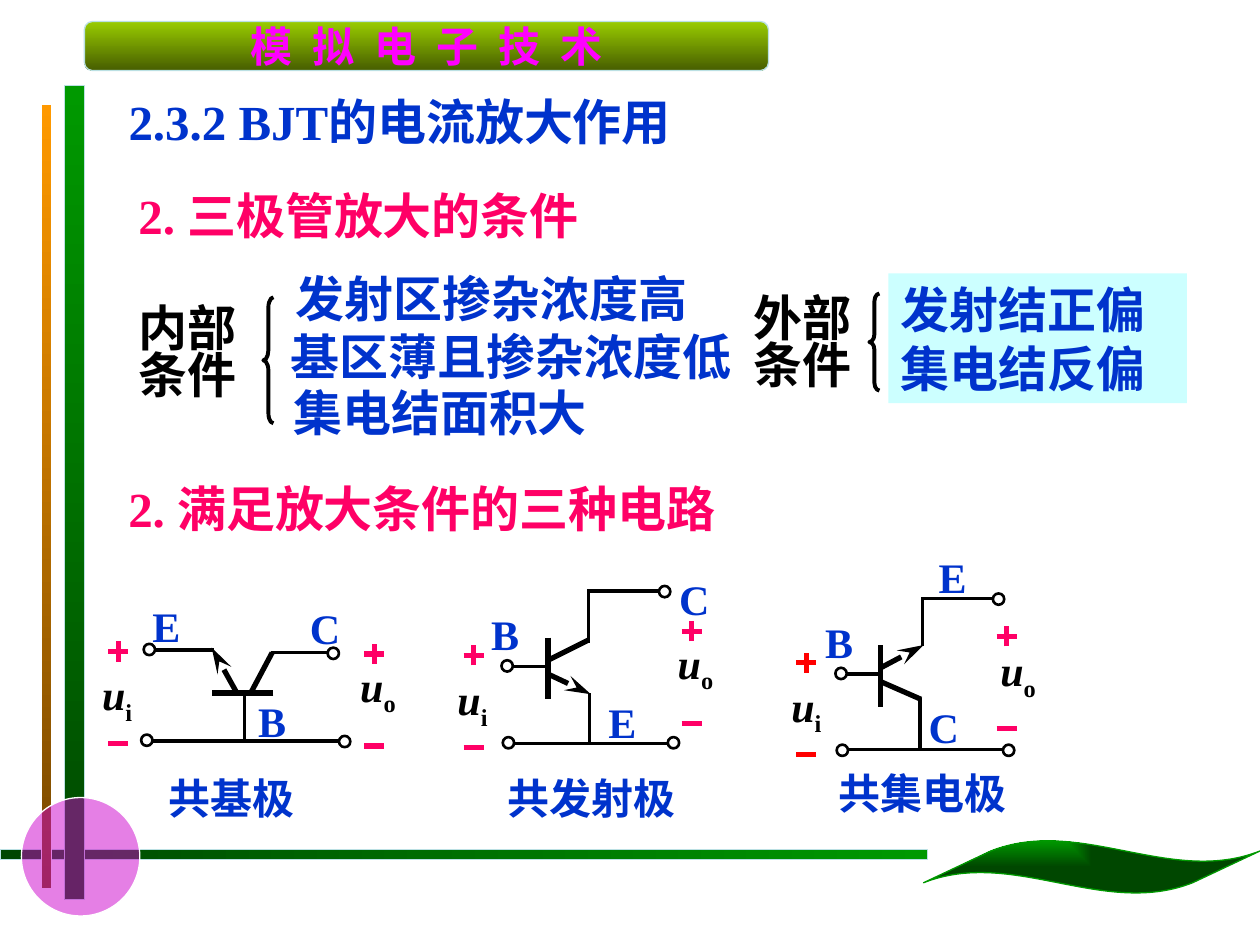
from lxml.etree import SubElement
from pptx import Presentation
from pptx.dml.color import RGBColor
from pptx.enum.shapes import MSO_CONNECTOR, MSO_SHAPE
from pptx.enum.text import MSO_ANCHOR, MSO_AUTO_SIZE, PP_ALIGN
from pptx.oxml.ns import qn
from pptx.util import Emu, Pt

PX = 9144  # 100 px to the inch
LATIN, CJK = "Times New Roman", "Noto Sans CJK SC"

BLACK = RGBColor(0, 0, 0)
WHITE = RGBColor(0xFF, 0xFF, 0xFF)
BLUE = RGBColor(0x00, 0x33, 0xCC)
PINK = RGBColor(0xFF, 0x00, 0x66)
RED = RGBColor(0xFF, 0x00, 0x00)
MAGENTA = RGBColor(0xFF, 0x00, 0xFF)
PURPLE = RGBColor(0xCC, 0x00, 0xCC)
PALE_CYAN = RGBColor(0xCC, 0xFF, 0xFF)
EDGE = RGBColor(0xBB, 0xE0, 0xE3)
GREEN = RGBColor(0x00, 0x99, 0x00)
DARK_GREEN = RGBColor(0x00, 0x47, 0x00)
ORANGE = RGBColor(0xFF, 0x99, 0x00)
BROWN = RGBColor(0x76, 0x47, 0x00)
LIME = RGBColor(0x99, 0xCC, 0x00)
OLIVE = RGBColor(0x47, 0x5E, 0x00)

HEADER = "模 拟 电 子 技 术"
TITLE = "2.3.2 BJT的电流放大作用"

# box, first colour, last colour, gradient angle, edge colour, edge width
BARS = [
    ((0, 674, 736, 8), DARK_GREEN, GREEN, 0, EDGE, 0.75),
    ((51, 68, 16, 646), GREEN, DARK_GREEN, 270, EDGE, 0.75),
    ((33, 83, 8, 622), ORANGE, BROWN, 270, WHITE, 0.5),
]

# lines of text, box, colour, size, line spacing
TEXTS = [
    (["2. 三极管放大的条件"], (100, 142, 430, 57), PINK, 28, None),
    (["内部", "条件"], (100, 240, 99, 85), BLACK, 28, 0.8),
    (["发射区掺杂浓度高"], (225, 208, 453, 57), BLUE, 28, None),
    (["基区薄且掺杂浓度低"], (221, 254, 451, 57), BLUE, 28, None),
    (["集电结面积大"], (223, 299, 392, 57), BLUE, 28, None),
    (["外部", "条件"], (588, 232, 139, 85), BLACK, 28, 0.8),
    (["2. 满足放大条件的三种电路"], (92, 375, 614, 57), PINK, 28, None),
    (["共基极"], (124, 608, 177, 50), BLUE, 24, None),
    (["共发射极"], (393, 608, 201, 50), BLUE, 24, None),
    (["共集电极"], (656, 604, 200, 50), BLUE, 24, None),
]
OUTER_CONDITIONS = ["发射结正偏", "集电结反偏"]
BRACES = [((209, 236, 8, 100), 1), ((690, 233, 8, 77), 0.77)]

# thick: electrodes; emitter: ends in an arrow; wires: x1, y1, x2, y2;
# terminals: left, top; letters and ports: text, centre x, top;
# signs: centre x, y of the plus, colour
CIRCUITS = [
    dict(thick=[(217, 550, 168, 550), (199, 550, 216, 518)],
         emitter=(188, 550, 168, 514),
         wires=[(194, 550, 194, 589), (215, 518, 262, 518),
                (170, 516, 124, 516), (119, 588, 270, 588)],
         terminals=[(269, 584), (260, 514), (114, 511), (112, 583)],
         terminal_fill=WHITE,
         letters=[("C", 258, 473), ("E", 132, 472), ("B", 216, 547)],
         ports=[("i", 93, 526), ("o", 300, 519)],
         signs=[(94, 517, PINK), (297, 519, PINK)]),
    dict(thick=[(435, 506, 435, 555), (435, 524, 467, 508)],
         emitter=(435, 535, 469, 551),
         wires=[(435, 529, 407, 529), (467, 510, 467, 470),
                (468, 550, 468, 589), (406, 590, 535, 590),
                (466, 469, 526, 469)],
         terminals=[(398, 524), (399, 585), (523, 465), (530, 585)],
         terminal_fill=WHITE,
         letters=[("E", 494, 548), ("C", 551, 450), ("B", 401, 478)],
         ports=[("i", 375, 530), ("o", 552, 501)],
         signs=[(376, 520, PINK), (549, 501, PINK)]),
    dict(thick=[(699, 512, 699, 561), (699, 541, 731, 555)],
         emitter=(699, 530, 733, 512),
         wires=[(699, 535, 672, 535), (732, 513, 732, 474),
                (730, 554, 730, 595), (673, 595, 796, 595),
                (731, 475, 788, 475)],
         terminals=[(663, 530), (664, 591), (788, 471), (796, 591)],
         terminal_fill=None,
         letters=[("E", 756, 433), ("C", 749, 552), ("B", 666, 484)],
         ports=[("i", 640, 535), ("o", 808, 507)],
         signs=[(640, 526, RED), (799, 505, PINK)]),
]
LETTER_SIZE = 50
TERMINAL_SIZE = 9
SIGN_ARM = 8
SIGN_DROP = 73


def emu(lengths):
    return [Emu(length * PX) for length in lengths]


def style(paragraph, size, colour, latin=LATIN):
    font = paragraph.font
    font.name, font.size, font.bold = latin, Pt(size), True
    font.color.rgb = colour
    SubElement(font._element, qn("a:ea"), typeface=CJK)


def write(shape, lines, size, colour, align=PP_ALIGN.LEFT, spacing=None, wrap=True):
    frame = shape.text_frame
    frame.word_wrap = wrap
    frame.auto_size = MSO_AUTO_SIZE.SHAPE_TO_FIT_TEXT
    frame.vertical_anchor = MSO_ANCHOR.TOP
    frame.text = "\n".join(lines)
    for paragraph in frame.paragraphs:
        paragraph.alignment = align
        if spacing:
            paragraph.line_spacing = spacing
        style(paragraph, size, colour)


def add_preset(shapes, kind, box, fill=None, edge=None, width=0.75):
    shape = shapes.add_shape(kind, *emu(box))
    shape.shadow.inherit = False
    if fill is None:
        shape.fill.background()
    else:
        shape.fill.solid()
        shape.fill.fore_color.rgb = fill
    if edge is None:
        shape.line.fill.background()
    else:
        shape.line.color.rgb = edge
        shape.line.width = Pt(width)
    return shape


def fill_gradient(shape, first, last, angle):
    shape.fill.gradient()
    shape.fill.gradient_angle = angle
    for stop, colour, position in zip(shape.fill.gradient_stops, (first, last), (0, 1)):
        stop.color.rgb = colour
        stop.position = position


def add_line(shapes, ends, width, colour=BLACK, arrow=False):
    line = shapes.add_connector(MSO_CONNECTOR.STRAIGHT, *emu(ends))
    line.line.color.rgb = colour
    line.line.width = Pt(width)
    if arrow:
        SubElement(line.line._get_or_add_ln(), qn("a:tailEnd"),
                   type="stealth", w="med", len="lg")
    SubElement(line._element.spPr, qn("a:effectLst"))


def add_letter(shapes, text, centre, top):
    box = (centre - LETTER_SIZE // 2, top, LETTER_SIZE, LETTER_SIZE)
    shape = shapes.add_textbox(*emu(box))
    write(shape, [text], 24, BLUE, PP_ALIGN.CENTER, wrap=False)
    return shape


def add_port(shapes, index, centre, top):
    """Add the voltage u with its subscript."""
    paragraph = add_letter(shapes, "u", centre, top).text_frame.paragraphs[0]
    paragraph.font.color.rgb = BLACK
    paragraph.runs[0].font.italic = True
    subscript = paragraph.add_run()
    subscript.text = index
    subscript.font._element.set("baseline", "-25000")


def add_circuit(slide, circuit):
    shapes = slide.shapes.add_group_shape().shapes
    for ends in circuit["thick"]:
        add_line(shapes, ends, 3)
    add_line(shapes, circuit["emitter"], 3, arrow=True)
    for ends in circuit["wires"]:
        add_line(shapes, ends, 2)
    for left, top in circuit["terminals"]:
        add_preset(shapes, MSO_SHAPE.OVAL, (left, top, TERMINAL_SIZE, TERMINAL_SIZE),
                   circuit["terminal_fill"], BLACK, 1.5)
    for x, y, colour in circuit["signs"]:
        for row in (y, y + SIGN_DROP):
            add_line(shapes, (x - SIGN_ARM, row, x + SIGN_ARM, row), 3, colour)
        add_line(shapes, (x, y + SIGN_ARM, x, y - SIGN_ARM), 3, colour)
    for port in circuit["ports"]:
        add_port(shapes, *port)
    for letter in circuit["letters"]:
        add_letter(shapes, *letter)


def add_decoration(shapes):
    for box, first, last, angle, edge, width in BARS:
        bar = add_preset(shapes, MSO_SHAPE.RECTANGLE, box, WHITE, edge, width)
        fill_gradient(bar, first, last, angle)
    disc = add_preset(shapes, MSO_SHAPE.OVAL, (17, 633, 94, 94), PURPLE, WHITE)
    colour = disc._element.spPr.find(qn("a:solidFill"))[0]
    SubElement(colour, qn("a:alpha"), val="50000")

    header = add_preset(shapes, MSO_SHAPE.FLOWCHART_ALTERNATE_PROCESS,
                        (67, 17, 543, 39), WHITE, EDGE)
    fill_gradient(header, LIME, OLIVE, 270)
    header.text_frame.text = HEADER
    header.text_frame.word_wrap = False
    header.text_frame.vertical_anchor = MSO_ANCHOR.MIDDLE
    paragraph = header.text_frame.paragraphs[0]
    paragraph.alignment = PP_ALIGN.CENTER
    style(paragraph, 24, MAGENTA, CJK)
    paragraph.runs[0].font._element.set("spc", "300")

    leaf = add_preset(shapes, MSO_SHAPE.WAVE, (733, 667, 267, 42), WHITE, GREEN)
    leaf.adjustments[0], leaf.adjustments[1] = 0.21, -0.1
    fill_gradient(leaf, GREEN, DARK_GREEN, 0)
    gradient = leaf._element.spPr.find(qn("a:gradFill"))
    gradient.remove(gradient.find(qn("a:lin")))
    rays = SubElement(gradient, qn("a:path"), path="rect")
    SubElement(rays, qn("a:fillToRect"), r="100000", b="100000")


def main():
    presentation = Presentation()
    presentation.slide_width, presentation.slide_height = emu((1000, 750))
    slide = presentation.slides.add_slide(presentation.slide_layouts[5])
    shapes = slide.shapes
    add_decoration(shapes)
    title = shapes.title
    title.left, title.top, title.width, title.height = emu((92, 68, 495, 57))
    write(title, [TITLE], 28, BLUE)
    for lines, box, colour, size, spacing in TEXTS:
        write(shapes.add_textbox(*emu(box)), lines, size, colour, spacing=spacing)
    for box, curl in BRACES:
        brace = add_preset(shapes, MSO_SHAPE.LEFT_BRACE, box, edge=BLACK, width=2.25)
        brace.adjustments[0] = curl
    panel = add_preset(shapes, MSO_SHAPE.RECTANGLE, (705, 217, 237, 103), PALE_CYAN)
    write(panel, OUTER_CONDITIONS, 28, BLUE)
    for circuit in CIRCUITS:
        add_circuit(slide, circuit)
    presentation.save("out.pptx")


if __name__ == "__main__":
    main()
